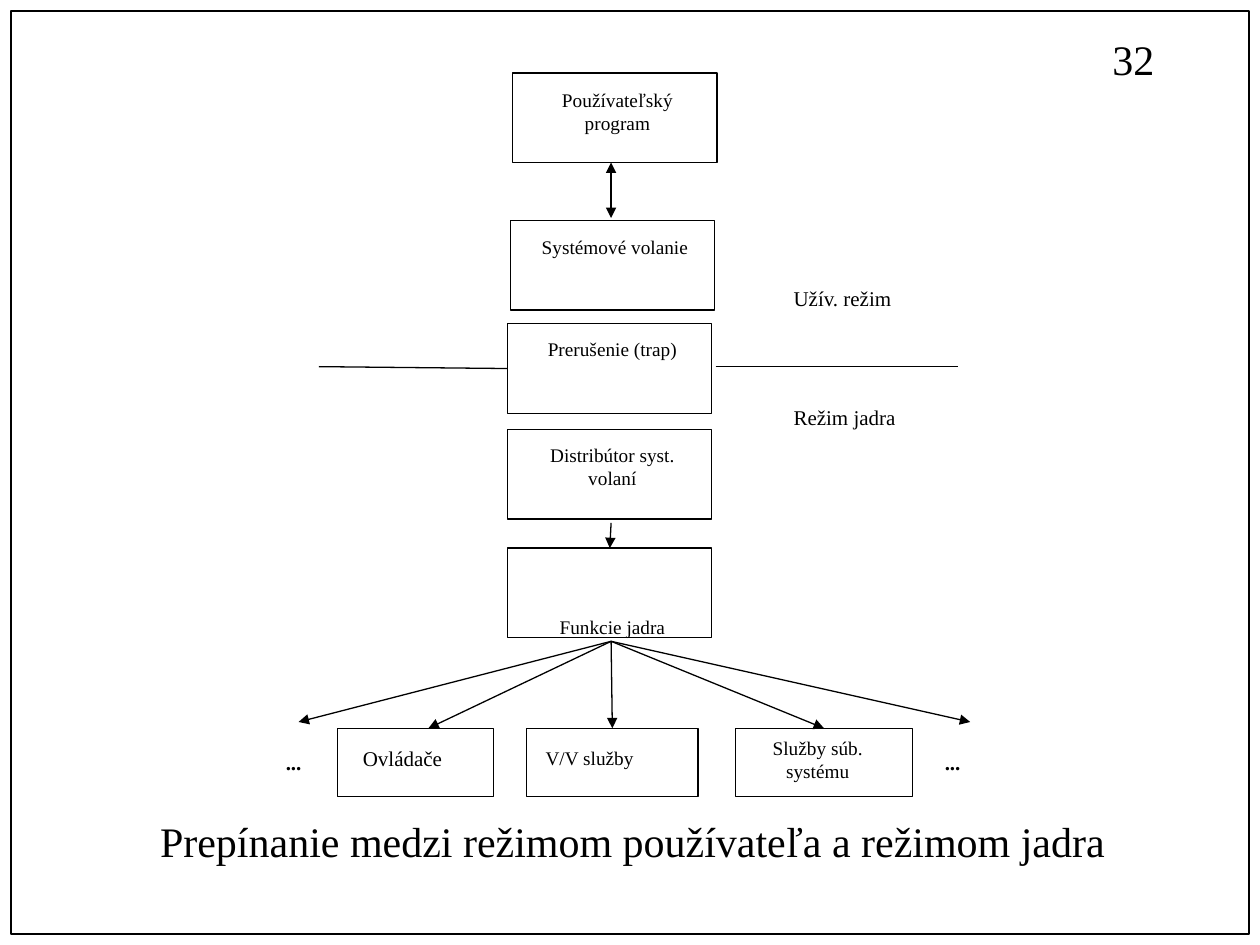
from lxml import etree
from pptx import Presentation
from pptx import util as u
from pptx.dml.color import RGBColor
from pptx.enum import shapes, text
from pptx.oxml.ns import qn

BLACK = RGBColor(0x00, 0x00, 0x00)
WHITE = RGBColor(0xFF, 0xFF, 0xFF)
LEFT, CENTER = text.PP_ALIGN.LEFT, text.PP_ALIGN.CENTER
TOP_SIDE, LEFT_SIDE = 0, 1
TITLE_ONLY = 5


class Diagram:
    """Draws on one slide; lengths are columns and rows of a 100 x 75 grid."""

    font = "Times New Roman"
    line_width = 0.75
    margins = (1, 0.5, 1, 0.5)

    def __init__(self, deck):
        self.slide = deck.slides.add_slide(deck.slide_layouts[TITLE_ONLY])
        self.column = deck.slide_width / 100
        self.row = deck.slide_height / 75

    def x(self, columns):
        return round(columns * self.column)

    def y(self, rows):
        return round(rows * self.row)

    def place(self, left, top, width, height):
        return self.x(left), self.y(top), self.x(width), self.y(height)

    def set_words(self, shape, words, size, align=LEFT, bold=False, margins=margins, wrap=True):
        frame = shape.text_frame
        frame.word_wrap = wrap
        frame.auto_size = text.MSO_AUTO_SIZE.NONE
        frame.vertical_anchor = text.MSO_ANCHOR.TOP
        left, top, right, bottom = margins
        frame.margin_left, frame.margin_right = self.x(left), self.x(right)
        frame.margin_top, frame.margin_bottom = self.y(top), self.y(bottom)
        paragraph = frame.paragraphs[0]
        paragraph.alignment = align
        run = paragraph.add_run()
        run.text = words
        run.font.name, run.font.size, run.font.bold = self.font, u.Pt(size), bold
        run.font.color.rgb = BLACK

    def title(self, words, *area):
        heading = self.slide.shapes.title
        heading.left, heading.top, heading.width, heading.height = self.place(*area)
        self.set_words(heading, words, 24)

    def label(self, words, *area, size=12, bold=False, wrap=True):
        box = self.slide.shapes.add_textbox(*self.place(*area))
        self.set_words(box, words, size, bold=bold, wrap=wrap)

    def outline(self, *area, width=line_width):
        box = self.slide.shapes.add_shape(shapes.MSO_SHAPE.RECTANGLE, *self.place(*area))
        box.shadow.inherit = False
        box.fill.background()
        box.line.color.rgb = BLACK
        box.line.width = u.Pt(width)
        return box

    def block(self, words, *area, margins, size=11, align=CENTER):
        box = self.outline(*area)
        box.fill.solid()
        box.fill.fore_color.rgb = WHITE
        self.set_words(box, words, size, align, margins=margins)
        return box

    def line(self, start, end, heads=(), target=None, side=TOP_SIDE):
        """Join start and end; heads lists headEnd and tailEnd, target is glued to the end."""
        link = self.slide.shapes.add_connector(
            shapes.MSO_CONNECTOR.STRAIGHT,
            self.x(start[0]), self.y(start[1]), self.x(end[0]), self.y(end[1]))
        if target is not None:
            link.end_connect(target, side)
        link.line.color.rgb = BLACK
        link.line.width = u.Pt(self.line_width)
        properties = link._element.spPr.find(qn("a:ln"))
        for head in heads:
            etree.SubElement(properties, qn(f"a:{head}"), type="triangle")
        etree.SubElement(link._element.spPr, qn("a:effectLst"))


def main():
    deck = Presentation()
    deck.slide_width, deck.slide_height = u.Inches(10), u.Inches(7.5)
    diagram = Diagram(deck)

    diagram.outline(0.9, 0.9, 98.2, 73.2, width=1)
    diagram.label("32", 87.3, 2.2, 15.9, 5, size=24, wrap=False)
    diagram.title("Prepínanie medzi režimom používateľa a režimom jadra", 11.7, 64.2, 83.3, 5)

    # Path of a call from the user program down to the kernel
    steps = [
        ("Používateľský program", 40.7, 5.8, 1.2),
        ("Systémové volanie", 40.5, 17.5, 1.2),
        ("Prerušenie (trap)", 40.3, 25.7, 1.1),
        ("Distribútor syst. volaní", 40.3, 34.1, 1.1),
        ("Funkcie jadra", 40.3, 43.5, 5.3),
    ]
    blocks = [
        diagram.block(words, left, top, 16.2, 7.1, margins=(1.9, inset, 1.5, 0))
        for words, left, top, inset in steps]
    trap, kernel = blocks[2], blocks[4]

    # Kernel services
    row_top, row_height = 57.8, 5.4
    diagram.block("Ovládače", 26.8, row_top, 12.4, row_height,
                  margins=(2, 1.4, 1.5, 0), size=12, align=LEFT)
    io_services = diagram.block("V/V služby", 41.8, row_top, 13.6, row_height,
                                margins=(1.5, 1.4, 2.2, 0), align=LEFT)
    subsystem = diagram.block("Služby súb. systému", 58.4, row_top, 14, row_height,
                              margins=(1.3, 0.6, 2.3, 0))
    for left in (21.7, 74):
        diagram.label("...", left, 59, 4.4, 4.1, bold=True)

    # Border between the two modes
    border = 29.1
    diagram.line((25.3, border), (40.3, border), target=trap, side=LEFT_SIDE)
    diagram.line((56.8, border), (76, border))
    diagram.label("Užív. režim", 62, 22.2, 12.9, 4.4)
    diagram.label("Režim jadra", 62, 31.6, 12.9, 4.4)

    # Flow along the axis, then the fan to the services
    axis = 48.5
    diagram.line((axis, 12.9), (axis, 17.3), heads=("headEnd", "tailEnd"))
    diagram.line((axis, 41.5), (axis, 43.5), heads=("tailEnd",), target=kernel)
    fan = [
        (23.7, 57.3, None),
        (34, row_top, None),
        (axis, row_top, io_services),
        (65.1, row_top, subsystem),
        (77, 57.3, None),
    ]
    for end_x, end_y, service in fan:
        diagram.line((axis, 50.9), (end_x, end_y), heads=("tailEnd",), target=service)

    deck.save("out.pptx")


if __name__ == "__main__":
    main()
